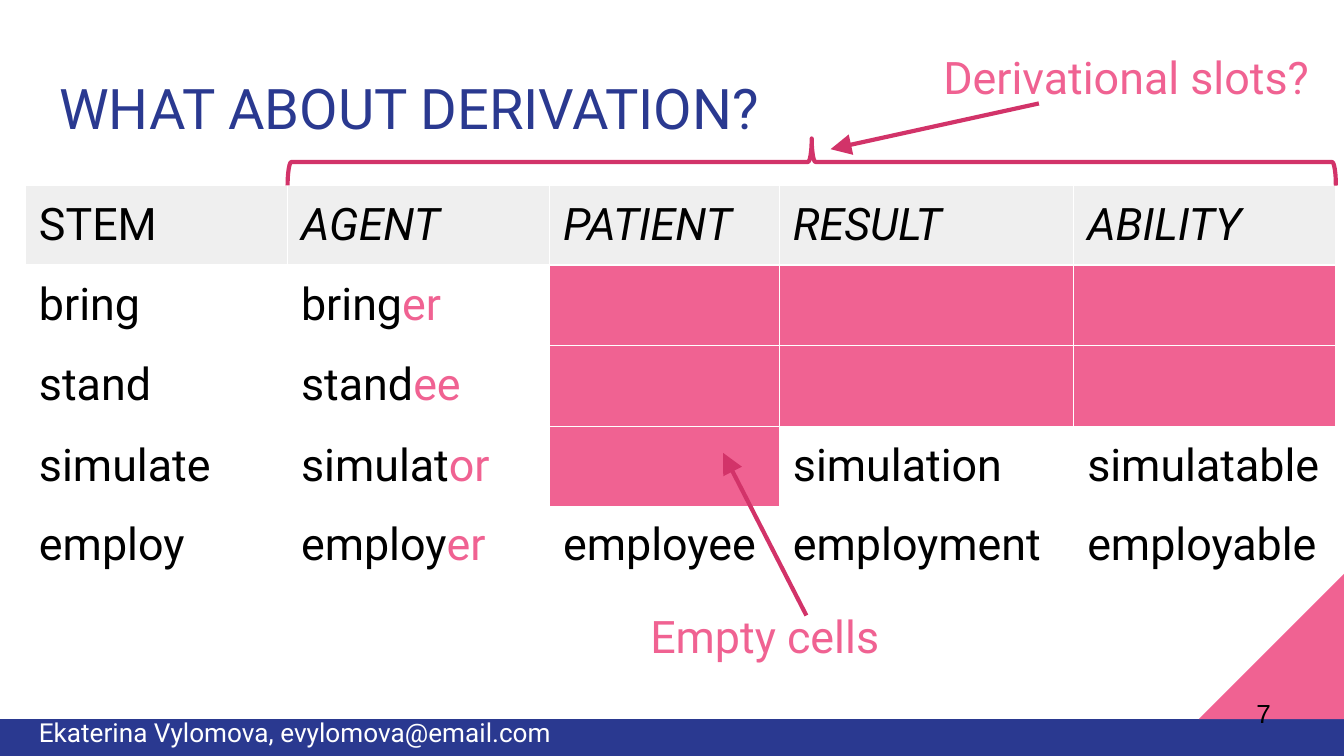
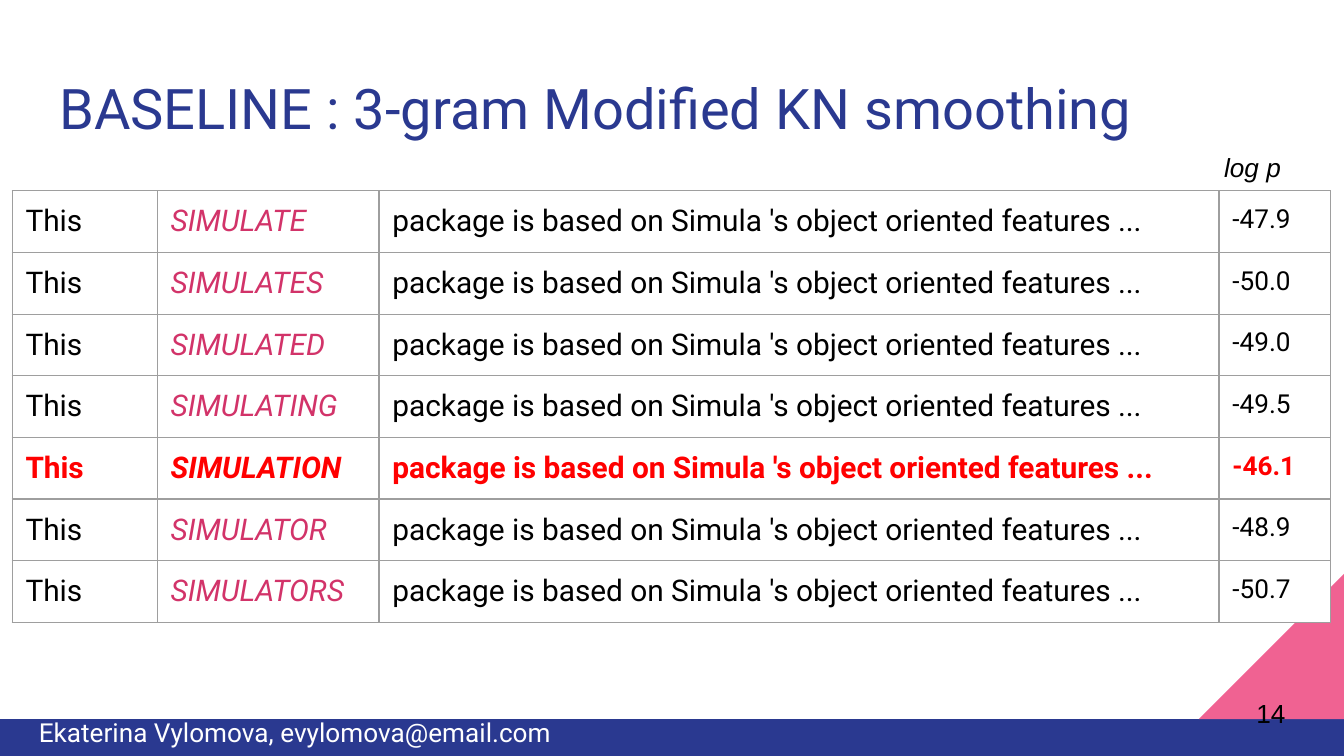
from itertools import accumulate

from pptx import Presentation
from pptx import util as u
from pptx.dml.color import RGBColor
from pptx.enum import shapes, text
from pptx.oxml import ns, xmlchemy

WIDTH = 10
HEIGHT = WIDTH * 9 / 16
INSET = 0.1
BAND_TOP, CORNER = 5.35, 1.08
BLUE, PINK, CRIMSON = "2A3990", "F06292", "D23369"
BLACK, WHITE, RED = "000000", "FFFFFF", "FF0000"
HEADER_GREY, GRID_GREY = "EFEFEF", "9E9E9E"

AUTHOR = "Ekaterina Vylomova, evylomova@email.com"

DERIVATION = {
    "title": "WHAT ABOUT DERIVATION?",
    "number": 7,
    "left": 0.19, "top": 1.38,
    "columns": [1.95, 1.95, 1.71, 2.19, 1.95],
    "heights": [0.42, 0.6, 0.6, 0.42, 0.42],
    "header": ["STEM", "AGENT", "PATIENT", "RESULT", "ABILITY"],
    "rows": [
        ["bring", ("bring", "er"), None, None, None],
        ["stand", ("stand", "ee"), None, None, None],
        ["simulate", ("simulat", "or"), None, "simulation", "simulatable"],
        ["employ", ("employ", "er"), "employee", "employment", "employable"],
    ],
}
CALLOUTS = [
    ("Derivational slots?", (6.92, 0.27, 3.08, 0.66), "TOP", (7.73, 0.77), (6.18, 1.11)),
    ("Empty cells", (4.74, 4.28, 3.53, 0.9), "MIDDLE", (6, 4.58), (5.38, 3.37)),
]

BASELINE = {
    "title": "BASELINE : 3-gram Modified KN smoothing",
    "number": 14,
    "left": 0.09, "top": 1.42,
    "columns": [1.08, 1.65, 6.25, 0.83],
    "heights": [0.42] * 7,
    "before": "This",
    "after": "package is based on Simula 's object oriented features ...",
    "scores": [
        ("SIMULATE", "-47.9"),
        ("SIMULATES", "-50.0"),
        ("SIMULATED", "-49.0"),
        ("SIMULATING", "-49.5"),
        ("SIMULATION", "-46.1"),
        ("SIMULATOR", "-48.9"),
        ("SIMULATORS", "-50.7"),
    ],
    "best": "SIMULATION",
}


def color(value):
    return RGBColor.from_string(value)


def inches(values):
    return [u.Inches(value) for value in values]


def write(frame, words, size, ink=BLACK, face="Roboto", italic=False, bold=False):
    parts = (words,) if isinstance(words, str) else words
    para = frame.paragraphs[0]
    para.alignment = text.PP_ALIGN.LEFT
    font = para.font
    font.name, font.size = face, u.Pt(size)
    font.italic, font.bold = italic, bold
    font.color.rgb = color(ink)
    for index, part in enumerate(parts):
        span = para.add_run()
        span.text = part
        if index:
            span.font.color.rgb = color(PINK)


def fit_frame(frame, anchor):
    frame.word_wrap = True
    frame.auto_size = text.MSO_AUTO_SIZE.NONE
    frame.vertical_anchor = text.MSO_ANCHOR[anchor]
    frame.margin_left = frame.margin_right = u.Inches(INSET)
    frame.margin_top = frame.margin_bottom = u.Inches(INSET)


def add_text(page, words, place, size, anchor="TOP", **style):
    box = page.shapes.add_textbox(*inches(place))
    fit_frame(box.text_frame, anchor)
    write(box.text_frame, words, size, **style)


def add_block(page, kind, place, fill):
    block = page.shapes.add_shape(shapes.MSO_SHAPE[kind], *inches(place))
    block.shadow.inherit = False
    block.fill.solid()
    block.fill.fore_color.rgb = color(fill)
    block.line.fill.background()
    return block


def add_page(deck, content):
    page = deck.slides.add_slide(deck.slide_layouts[5])
    add_block(page, "RECTANGLE", (0, BAND_TOP, WIDTH, HEIGHT - BAND_TOP), BLUE)
    corner_place = (WIDTH - CORNER, BAND_TOP - CORNER, CORNER, CORNER)
    corner = add_block(page, "RIGHT_TRIANGLE", corner_place, PINK)
    corner._element.spPr.xfrm.set("flipH", "1")

    title = page.shapes.title
    title.left, title.top, title.width, title.height = inches((0.34, 0.45, 9.32, 0.66))
    fit_frame(title.text_frame, "TOP")
    write(title.text_frame, content["title"], 30, BLUE)
    add_text(page, str(content["number"]), (9.25, 5.09, 0.6, 0.43), 14, "MIDDLE", face="Arial")
    add_text(page, AUTHOR, (0.19, 5.23, 7.68, HEIGHT - 5.23), 14, ink=WHITE)
    return page


def add_grid(page, content):
    columns, heights = content["columns"], content["heights"]
    place = (content["left"], content["top"], sum(columns), sum(heights))
    table = page.shapes.add_table(len(heights), len(columns), *inches(place)).table
    table.first_row = table.horz_banding = False
    for column, width in zip(table.columns, columns):
        column.width = u.Inches(width)
    for row, height in zip(table.rows, heights):
        row.height = u.Inches(height)
    return table


def style_cell(cell, border, fill):
    cell.margin_left = cell.margin_right = u.Inches(INSET)
    cell.margin_top = cell.margin_bottom = u.Inches(INSET)
    properties = cell._tc.get_or_add_tcPr()
    for side in ("a:lnL", "a:lnR", "a:lnT", "a:lnB"):
        line = xmlchemy.OxmlElement(side)
        line.set("w", str(u.Pt(0.75)))
        paint = xmlchemy.OxmlElement("a:solidFill" if border else "a:noFill")
        if border:
            shade = xmlchemy.OxmlElement("a:srgbClr")
            shade.set("val", border)
            paint.append(shade)
        line.append(paint)
        properties.append(line)
    if fill:
        cell.fill.solid()
        cell.fill.fore_color.rgb = color(fill)
    else:
        cell.fill.background()


def add_arrow(page, start, end):
    arrow = page.shapes.add_connector(shapes.MSO_CONNECTOR.STRAIGHT, *inches(start + end))
    arrow.line.color.rgb = color(CRIMSON)
    arrow.line.width = u.Pt(2.25)
    head = xmlchemy.OxmlElement("a:tailEnd")
    for name, value in (("type", "triangle"), ("w", "lg"), ("len", "lg")):
        head.set(name, value)
    arrow._element.spPr.find(ns.qn("a:ln")).append(head)
    arrow._element.spPr.append(xmlchemy.OxmlElement("a:effectLst"))


def add_slot_brace(page, content):
    edges = list(accumulate(content["columns"], initial=content["left"]))
    depth, length = 0.35, edges[-1] - edges[1]
    center_x, center_y = (edges[1] + edges[-1]) / 2, content["top"] - depth / 2
    place = (center_x - depth / 2, center_y - length / 2, depth, length)
    brace = page.shapes.add_shape(shapes.MSO_SHAPE.RIGHT_BRACE, *inches(place))
    brace.rotation = 270
    brace.adjustments[0], brace.adjustments[1] = 0.08, 0.5
    brace.shadow.inherit = False
    brace.fill.background()
    brace.line.color.rgb = color(CRIMSON)
    brace.line.width = u.Pt(2.25)


def build_derivation(deck):
    page = add_page(deck, DERIVATION)
    rows = [DERIVATION["header"]] + DERIVATION["rows"]
    table = add_grid(page, DERIVATION)
    for r, row in enumerate(rows):
        border = WHITE if r < len(rows) - 1 else None
        for c, words in enumerate(row):
            cell = table.cell(r, c)
            fill = HEADER_GREY if r == 0 else None if words else PINK
            style_cell(cell, border, fill)
            if words:
                write(cell.text_frame, words, 24, italic=r == 0 and c > 0)
    add_slot_brace(page, DERIVATION)
    for words, place, anchor, start, end in CALLOUTS:
        add_arrow(page, start, end)
        add_text(page, words, place, 24, anchor, ink=PINK)


def build_baseline(deck):
    page = add_page(deck, BASELINE)
    table = add_grid(page, BASELINE)
    for r, (form, score) in enumerate(BASELINE["scores"]):
        best = form == BASELINE["best"]
        ink = RED if best else BLACK
        cells = [
            (BASELINE["before"], 16, ink),
            (form, 16, RED if best else CRIMSON),
            (BASELINE["after"], 16, ink),
            (score, 14, ink),
        ]
        for c, (words, size, shade) in enumerate(cells):
            cell = table.cell(r, c)
            style_cell(cell, GRID_GREY, WHITE)
            write(cell.text_frame, words, size, shade, italic=words == form, bold=best)
    add_text(page, "log p", (9.01, 1.03, 0.78, 0.33), 14, face="Arial", italic=True)


def main():
    deck = Presentation()
    deck.slide_width, deck.slide_height = inches((WIDTH, HEIGHT))
    build_derivation(deck)
    build_baseline(deck)
    deck.save("out.pptx")


if __name__ == "__main__":
    main()
